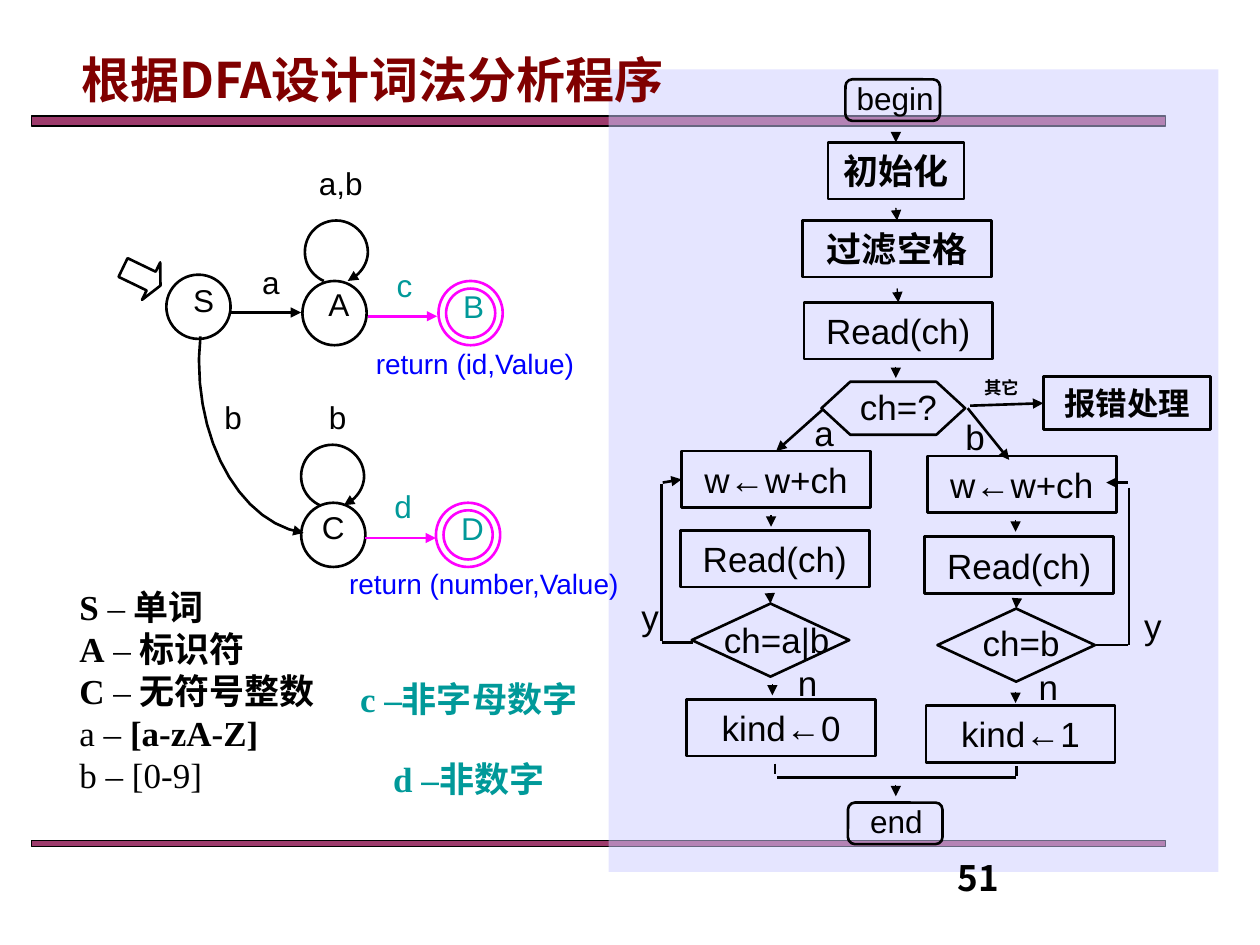
"""Build a slide that turns a DFA into a lexer flowchart."""
from typing import NamedTuple, Optional

from lxml.etree import SubElement
from pptx import Presentation
from pptx.dml.color import RGBColor
from pptx.enum.shapes import MSO_CONNECTOR, MSO_SHAPE
from pptx.enum.text import MSO_ANCHOR, MSO_AUTO_SIZE, PP_ALIGN
from pptx.oxml.ns import qn
from pptx.util import Inches, Pt

BLACK = RGBColor(0x00, 0x00, 0x00)
PLUM = RGBColor(0x99, 0x33, 0x66)
LILAC = RGBColor(0xCC, 0xCC, 0xFF)
PINK = RGBColor(0xFF, 0x00, 0xFF)
TEAL = RGBColor(0x00, 0x99, 0x99)
BLUE = RGBColor(0x00, 0x00, 0xFF)
MAROON = RGBColor(0x80, 0x00, 0x00)
SANS, SERIF, HAN = "Arial", "Times New Roman", "Noto Sans CJK SC"
RECT, OVAL, ROUND = MSO_SHAPE.RECTANGLE, MSO_SHAPE.OVAL, MSO_SHAPE.ROUNDED_RECTANGLE
FORK, PREP = MSO_SHAPE.FLOWCHART_DECISION, MSO_SHAPE.FLOWCHART_PREPARATION


class Node(NamedTuple):
    key: str
    x: float
    y: float
    wide: float = 1.5
    high: float = 0.45
    text: str = ""
    size: int = 20
    bold: bool = False
    kind: MSO_SHAPE = RECT


class Label(NamedTuple):
    text: str
    x: float
    y: float
    wide: float = 0.42
    high: float = 0.43
    size: int = 20
    color: RGBColor = BLACK
    bold: bool = False


class Link(NamedTuple):
    start: tuple
    end: tuple
    width: float = 1.5
    arrow: bool = True
    color: RGBColor = BLACK
    goal: Optional[str] = None
    site: int = 0


class State(NamedTuple):
    x: float
    y: float
    final: bool = False


NODES = [
    Node("begin", 6.71, 0.63, 0.75, 0.33, kind=ROUND),
    Node("init", 6.57, 1.13, 1.08, text="初始化", bold=True),
    Node("skip", 6.37, 1.75, text="过滤空格", bold=True),
    Node("read", 6.38, 2.4, text="Read(ch)"),
    Node("test", 6.52, 3.03, 1.14, 0.42, kind=PREP),
    Node("error", 8.28, 2.99, 1.33, 0.42, "报错处理", 18, True),
    Node("add a", 5.41, 3.58, text="w←w+ch"),
    Node("read a", 5.4, 4.21, text="Read(ch)"),
    Node("fork a", 5.49, 4.79, 1.25, 0.58, kind=FORK),
    Node("kind a", 5.45, 5.55, text="kind←0"),
    Node("add b", 7.36, 3.62, text="w←w+ch"),
    Node("read b", 7.34, 4.26, text="Read(ch)"),
    Node("fork b", 7.44, 4.83, 1.25, 0.58, kind=FORK),
    Node("kind b", 7.35, 5.6, text="kind←1"),
    Node("end", 6.73, 6.37, 0.75, 0.33, kind=ROUND),
]
LABELS = [
    Label("begin", 6.69, 0.58, 0.83, 0.4, 18), Label("end", 6.7, 6.32, 0.83, 0.4, 18),
    Label("ch=?", 6.59, 3.01, 1.08), Label("ch=a|b", 5.58, 4.86, 1.17),
    Label("ch=b", 7.52, 4.88, 1.17), Label("a", 6.33, 3.22), Label("b", 7.53, 3.25),
    Label("其它", 7.7, 2.94, 0.5, 0.27, 10, bold=True),
    Label("y", 4.95, 4.68), Label("y", 8.94, 4.75),
    Label("n", 6.2, 5.2), Label("n", 8.11, 5.23),
    Label("S", 1.39, 2.18, 0.45, 0.5, 18), Label("A", 2.46, 2.21, 0.46, 0.5, 18),
    Label("C", 2.45, 3.98, 0.39, 0.5, 18), Label("B", 3.53, 2.23, 0.46, 0.5, 18, TEAL),
    Label("D", 3.52, 3.99, 0.46, 0.5, 18, TEAL), Label("a", 1.9, 2.04, 0.5, 0.5, 18),
    Label("a,b", 2.33, 1.25, 0.75, 0.5, 18), Label("c", 3, 2.06, 0.42, 0.5, 18, TEAL),
    Label("b", 2.46, 3.11, 0.44, 0.5, 18), Label("b", 1.63, 3.11, 0.44, 0.5, 18),
    Label("d", 2.99, 3.82, 0.42, 0.5, 18, TEAL),
    Label("return (id,Value)", 2.63, 2.7, 2.28, 0.37, 16, BLUE),
    Label("return (number,Value)", 2.55, 4.45, 2.58, 0.37, 16, BLUE),
]
DROPS = [
    (7.11, 1.05, "init"), (7.11, 1.65, "skip"), (7.12, 2.29, "read"), (7.11, 2.91, None),
    (6.12, 4.09, None), (8.06, 4.13, None), (6.11, 4.71, "fork a"), (8.07, 4.76, "fork b"),
    (6.13, 5.43, None), (8.06, 5.49, None), (7.11, 6.23, None),
]
LINKS = [
    Link((1.83, 2.48), (2.39, 2.48)),
    Link((2.92, 2.51), (3.47, 2.51), color=PINK),
    Link((2.9, 4.27), (3.46, 4.27), color=PINK),
    Link((6.53, 3.25), (6.12, 3.58), goal="add a"),
    Link((7.68, 3.24), (8.01, 3.65)),
    Link((7.7, 3.22), (8.28, 3.22), goal="error", site=1),
    Link((5.25, 5.1), (5.5, 5.1), arrow=False),
    Link((5.25, 3.84), (5.25, 5.09), arrow=False),
    Link((5.26, 3.83), (5.43, 3.83), goal="add a", site=1),
    Link((8.7, 5.12), (8.95, 5.12), arrow=False),
    Link((8.96, 3.87), (8.96, 5.12), arrow=False),
    Link((8.95, 3.83), (8.78, 3.83)),
    Link((6.15, 6.06), (6.15, 6.14), arrow=False),
    Link((6.17, 6.17), (8.06, 6.17), arrow=False),
    Link((8.07, 6.08), (8.07, 6.16), arrow=False),
] + [Link((x, y), (x, y + 0.09), 0.75, goal=goal) for x, y, goal in DROPS]
STATES = [State(1.32, 2.18), State(2.4, 2.23), State(2.39, 3.99),
          State(3.48, 2.23, True), State(3.46, 3.99, True)]
LOOP = [(2.57, 2.23), (2.48, 2.19), (2.42, 2.1), (2.42, 2), (2.42, 1.86), (2.53, 1.75),
        (2.67, 1.75), (2.8, 1.75), (2.92, 1.86), (2.92, 2), (2.92, 2.1), (2.85, 2.19), (2.76, 2.23)]
SWEEP = [(1.59, 2.67), (1.59, 2.73), (1.58, 2.8), (1.58, 2.87), (1.58, 3.57), (1.94, 4.16), (2.41, 4.23)]
LEGEND = [[("S", True), (" – ", False), ("单词", True)],
          [("A", True), (" – ", False), ("标识符", True)],
          [("C ", True), ("– ", False), ("无符号整数", True)],
          [("a – ", False), ("[a-zA-Z]", True)],
          [("b – [0-9]", False)]]


def style(run, size: float, color: RGBColor = BLACK, bold: bool = False, face: str = SANS) -> None:
    font = run.font
    font.size, font.bold, font.name = Pt(size), bold, face
    font.color.rgb = color
    SubElement(run._r.get_or_add_rPr(), qn("a:ea"), typeface=HAN)


def write(shape, lines: list, size: float, color: RGBColor = BLACK, bold: bool = False,
          face: str = SANS, align=PP_ALIGN.CENTER, anchor=MSO_ANCHOR.TOP) -> None:
    frame = shape.text_frame
    frame.text = "\n".join(lines)
    frame.word_wrap, frame.vertical_anchor = True, anchor
    if align == PP_ALIGN.CENTER:
        frame.margin_left = frame.margin_right = 0
    for para in frame.paragraphs:
        para.alignment = align
        for run in para.runs:
            style(run, size, color, bold, face)


def place(shape, x: float, y: float, wide: float, high: float) -> None:
    shape.left, shape.top, shape.width, shape.height = map(Inches, (x, y, wide, high))


def form(shapes, kind: MSO_SHAPE, x: float, y: float, wide: float, high: float,
         line: Optional[RGBColor] = BLACK, width: float = 1.5,
         fill: Optional[RGBColor] = None, alpha: int = 100):
    shape = shapes.add_shape(kind, *map(Inches, (x, y, wide, high)))
    shape.shadow.inherit = False
    if fill is None:
        shape.fill.background()
    else:
        shape.fill.solid()
        shape.fill.fore_color.rgb = fill
        tint = shape.element.spPr.find(qn("a:solidFill"))[0]
        SubElement(tint, qn("a:alpha"), val=str(alpha * 1000))
    if line is None:
        shape.line.fill.background()
    else:
        shape.line.color.rgb, shape.line.width = line, Pt(width)
    return shape


def text(shapes, x: float, y: float, wide: float, high: float, lines: list, size: float, **look):
    shape = shapes.add_textbox(*map(Inches, (x, y, wide, high)))
    write(shape, lines, size, **look)
    return shape


def point(shape) -> None:
    SubElement(shape.element.spPr.find(qn("a:ln")), qn("a:tailEnd"), type="triangle")


def join(shapes, link: Link, forms: dict) -> None:
    line = shapes.add_connector(MSO_CONNECTOR.STRAIGHT, *map(Inches, link.start + link.end))
    line.line.color.rgb, line.line.width = link.color, Pt(link.width)
    if link.arrow:
        point(line)
    SubElement(line.element.spPr, qn("a:effectLst"))
    if link.goal:
        line.end_connect(forms[link.goal], link.site)


def curve(shapes, knots: list, dx: float = 0, dy: float = 0, steps: int = 12) -> None:
    dots = [knots[0]]
    for i in range(0, len(knots) - 1, 3):
        for t in (n / steps for n in range(1, steps + 1)):
            parts = ((1 - t) ** 3, 3 * t * (1 - t) ** 2, 3 * t * t * (1 - t), t ** 3)
            dots.append(tuple(sum(w * k[axis] for w, k in zip(parts, knots[i:i + 4])) for axis in (0, 1)))
    dots = [(Inches(x + dx), Inches(y + dy)) for x, y in dots]
    pen = shapes.build_freeform(*dots[0])
    pen.add_line_segments(dots[1:], close=False)
    shape = pen.convert_to_shape()
    shape.shadow.inherit = False
    shape.fill.background()
    shape.line.color.rgb, shape.line.width = BLACK, Pt(1.5)
    point(shape)


def main() -> None:
    deck = Presentation()
    deck.slide_width, deck.slide_height = Inches(10), Inches(7.5)
    slide = deck.slides.add_slide(deck.slide_layouts[1])
    shapes = slide.shapes
    title, body = shapes.title, slide.placeholders[1]

    for y, high in ((0.92, 0.08), (6.67, 0.05)):
        form(shapes, RECT, 0.25, y, 9, high, BLACK, 0.75, PLUM, 96)
    form(shapes, RECT, 4.83, 0.55, 4.84, 6.37, None, fill=LILAC, alpha=50)
    for part in (title, body):
        shapes.element.append(part.element)

    place(title, 0.12, 0.34, 5.67, 0.57)
    write(title, ["根据DFA设计词法分析程序"], 28, MAROON, True, HAN, anchor=MSO_ANCHOR.MIDDLE)
    place(body, 0.53, 4.6, 2.17, 1.77)
    write(body, ["" for _ in LEGEND], 20, align=PP_ALIGN.LEFT)
    for para, pieces in zip(body.text_frame.paragraphs, LEGEND):
        para.line_spacing, para.space_before = Pt(24), Pt(0)
        props = para._p.get_or_add_pPr()
        props.set("marL", "0")
        props.set("indent", "0")
        SubElement(props, qn("a:buNone"))
        for words, bold in pieces:
            run = para.add_run()
            run.text = words
            style(run, 20, bold=bold, face=SERIF)
    for part in (title, body):
        part.text_frame.auto_size = MSO_AUTO_SIZE.NONE

    note = text(shapes, 2.68, 5.16, 2.08, 1.27, ["c –非字母数字", "d –非数字"], 20,
                color=TEAL, bold=True, face=SERIF)
    for para in note.text_frame.paragraphs:
        para.line_spacing = Pt(36)
    note.text_frame.paragraphs[1].space_before = Pt(10)
    text(shapes, 7.5, 6.75, 2.33, 0.27, ["51"], 20, bold=True, face=HAN, align=PP_ALIGN.LEFT)

    arrow = form(shapes, MSO_SHAPE.RIGHT_ARROW, 0.96, 2.03, 0.33, 0.33)
    arrow.rotation, arrow.adjustments[1] = 25.8, 0.25
    for state in STATES:
        color = PINK if state.final else BLACK
        form(shapes, OVAL, state.x, state.y, 0.51, 0.51, color)
        if state.final:
            form(shapes, OVAL, state.x + 0.06, state.y + 0.06, 0.39, 0.39, color)
    curve(shapes, SWEEP)
    curve(shapes, LOOP)
    curve(shapes, LOOP, -0.03, 1.78)

    forms = {}
    for node in NODES:
        shape = forms[node.key] = form(shapes, node.kind, node.x, node.y, node.wide, node.high)
        if node.text:
            write(shape, [node.text], node.size, bold=node.bold, anchor=MSO_ANCHOR.MIDDLE)
    for link in LINKS:
        join(shapes, link, forms)
    for tag in LABELS:
        text(shapes, tag.x, tag.y, tag.wide, tag.high, [tag.text], tag.size, color=tag.color, bold=tag.bold)
    deck.save("out.pptx")


if __name__ == "__main__":
    main()
